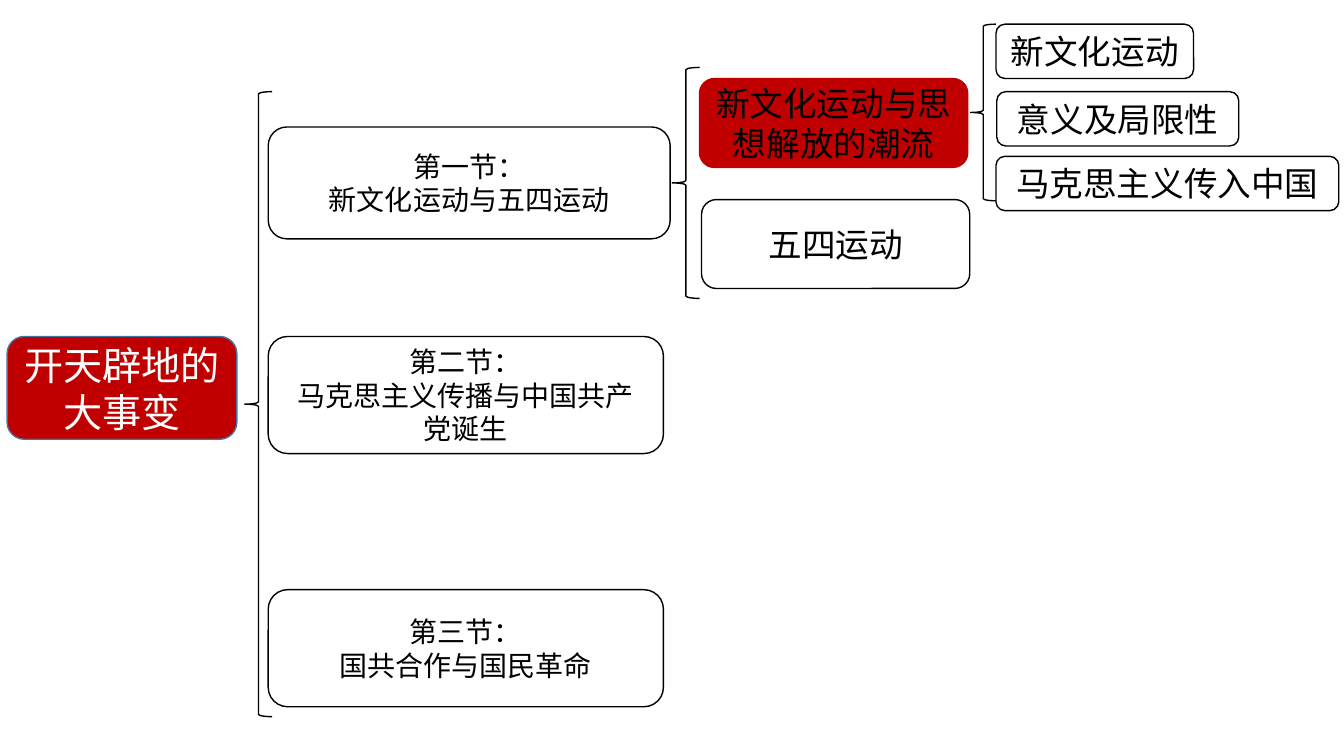
from lxml import etree
from pptx import Presentation
from pptx import util as u
from pptx.dml.color import RGBColor
from pptx.enum import shapes, text
from pptx.oxml.ns import qn

RED, BLACK, WHITE, BLUE = "C00000", "000000", "FFFFFF", "43739E"


def color(value):
    return RGBColor.from_string(value)


class MindMap:
    """Holds the shared style and the page being drawn."""

    font = "Noto Sans CJK SC"

    def __init__(self, page):
        self.page = page

    def outline(self, kind, place, line):
        shape = self.page.shapes.add_shape(kind, *(u.Cm(value) for value in place))
        shape.shadow.inherit = False
        shape.fill.background()
        shape.line.color.rgb = color(line)
        shape.line.width = u.Pt(1)
        return shape

    def brace(self, *place):
        self.outline(shapes.MSO_SHAPE.LEFT_BRACE, place, BLACK)

    def node(self, place, lines, size, fill=None, line=BLACK, ink=BLACK):
        """Add a rounded box with one centred paragraph per line."""
        box = self.outline(shapes.MSO_SHAPE.ROUNDED_RECTANGLE, place, line)
        if fill:
            box.fill.solid()
            box.fill.fore_color.rgb = color(fill)
        frame = box.text_frame
        frame.word_wrap = True
        frame.vertical_anchor = text.MSO_ANCHOR.MIDDLE
        for index, wording in enumerate(lines):
            para = frame.add_paragraph() if index else frame.paragraphs[0]
            para.alignment = text.PP_ALIGN.CENTER
            self.span(para, wording, size, ink)

    def span(self, para, wording, size, ink):
        span = para.add_run()
        span.text = wording
        span.font.size = u.Pt(size)
        span.font.color.rgb = color(ink)
        span.font.name = self.font
        east_asian = etree.SubElement(span.font._element, qn("a:ea"))
        east_asian.set("typeface", self.font)


def main():
    deck = Presentation()
    deck.slide_width, deck.slide_height = u.Cm(33.87), u.Cm(19.05)
    blank = deck.slide_layouts[6]
    tree = MindMap(deck.slides.add_slide(blank))

    tree.node((0.18, 8.48, 5.79, 2.59), ["开天辟地的大事变"], 28, RED, BLUE, WHITE)

    tree.brace(6.17, 2.31, 0.69, 15.75)
    sections = [
        (3.2, 10.13, 2.82, None, "第一节：", "新文化运动与五四运动"),
        (8.48, 9.96, 2.95, WHITE, "第二节：", "马克思主义传播与中国共产党诞生"),
        (14.86, 9.96, 2.95, WHITE, "第三节：", "国共合作与国民革命"),
    ]
    for top, width, height, fill, *lines in sections:
        tree.node((6.76, top, width, height), lines, 20, fill)

    tree.brace(16.94, 1.7, 0.69, 5.82)
    topics = [
        (17.63, 1.98, "新文化运动与思想解放的潮流", RED, RED),
        (17.68, 5.03, "五四运动", None, BLACK),
    ]
    for left, top, wording, fill, line in topics:
        tree.node((left, top, 6.76, 2.24), [wording], 24, fill, line)

    tree.brace(24.46, 0.61, 0.64, 4.45)
    points = [
        (25.1, 0.61, 4.98, "新文化运动"),
        (25.12, 2.31, 6.1, "意义及局限性"),
        (25.1, 3.94, 8.64, "马克思主义传入中国"),
    ]
    for left, top, width, wording in points:
        tree.node((left, top, width, 1.37), [wording], 24)

    deck.save("out.pptx")


if __name__ == "__main__":
    main()
